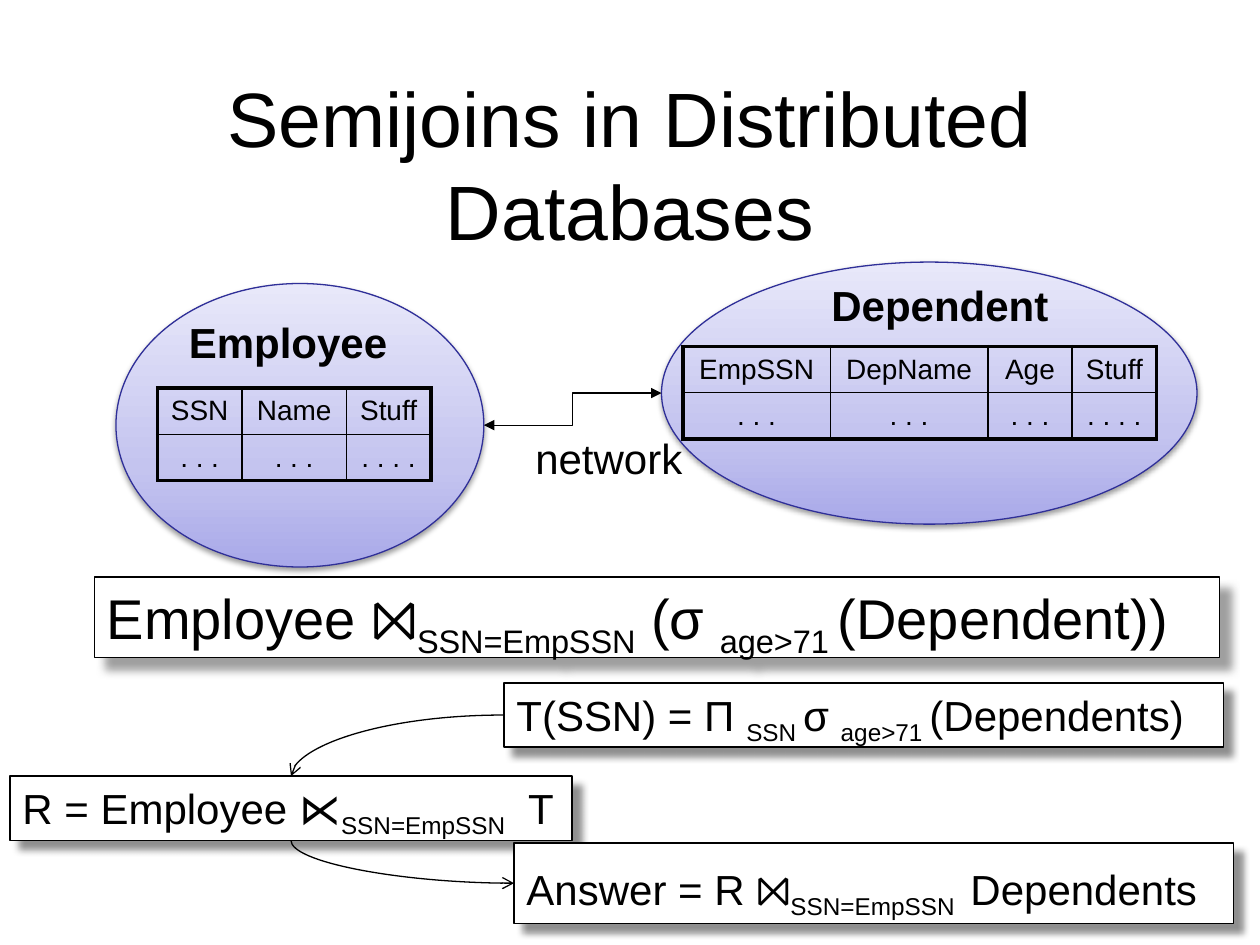
from copy import deepcopy

from lxml.etree import SubElement
from pptx import Presentation
from pptx.dml.color import RGBColor
from pptx.enum.shapes import MSO_CONNECTOR as LINK, MSO_SHAPE as SHAPE
from pptx.enum.text import MSO_ANCHOR as ANCHOR, MSO_AUTO_SIZE as FIT, PP_ALIGN as ALIGN
from pptx.oxml.ns import qn
from pptx.util import Inches, Pt

BLACK, WHITE = "000000", "FFFFFF"
SITE_STOPS = [(0, "A9A9E9"), (0.35, "C4C4EF"), (1, "E8E8FA")]
SITE_SHADOW = dict(alpha=38, blur=3.1, dist=1.6, angle=90)
STEP_SHADOW = dict(alpha=43, blur=4, dist=7, angle=45)
QUERY_SHADOW = dict(alpha=75, blur=5, dist=8.5, angle=45, color="808080")


def rgb(color):
    return RGBColor.from_string(color)


def sub(text):
    return text, {"subscript": True}


def write(frame, *runs, size=24, bold=False, align=ALIGN.LEFT):
    """Fill the first paragraph; a run is a string or (string, its own format)."""
    paragraph = frame.paragraphs[0]
    paragraph.alignment = align
    for item in runs:
        text, own = (item, {}) if isinstance(item, str) else item
        run = paragraph.add_run()
        run.text = text
        font = run.font
        font.name, font.bold = "Arial", bold
        font.size = Pt(own.get("size", size))
        font.color.rgb = rgb(BLACK)
        if own.get("subscript"):
            font._element.set("baseline", "-25000")


def add_shadow(shape, alpha, blur, dist, angle, color=BLACK):
    shape.shadow.inherit = False
    effects = shape._element.spPr.find(qn("a:effectLst"))
    outer = SubElement(effects, qn("a:outerShdw"), blurRad=str(Pt(blur)), dist=str(Pt(dist)),
                       dir=str(angle * 60000), algn="ctr", rotWithShape="0")
    tint = SubElement(outer, qn("a:srgbClr"), val=color)
    SubElement(tint, qn("a:alpha"), val=str(alpha * 1000))


def add_shape(slide, kind, box, line, shadow):
    shape = slide.shapes.add_shape(kind, *map(Inches, box))
    shape.line.color.rgb = rgb(line)
    shape.line.width = Pt(0.75)
    add_shadow(shape, **shadow)
    return shape


def add_label(slide, box, text, **style):
    frame = slide.shapes.add_textbox(*map(Inches, box)).text_frame
    frame.word_wrap = False
    frame.auto_size = FIT.SHAPE_TO_FIT_TEXT
    write(frame, text, **style)


def add_title(slide, box, text):
    frame = slide.shapes.add_textbox(*map(Inches, box)).text_frame
    frame.word_wrap = True
    frame.vertical_anchor = ANCHOR.MIDDLE
    write(frame, text, size=44, align=ALIGN.CENTER)


def set_borders(cell, widths):
    """Draw the cell's edges; widths are left, right, top, bottom in points."""
    props = cell._tc.get_or_add_tcPr()
    for place, (side, width) in enumerate(zip("LRTB", widths)):
        edge = SubElement(props, qn(f"a:ln{side}"), w=str(Pt(width)))
        SubElement(SubElement(edge, qn("a:solidFill")), qn("a:srgbClr"), val=BLACK)
        props.insert(place, edge)


def add_relation(slide, left, top, rows, col_widths, row_height=0.35):
    last_row, last_col = len(rows) - 1, len(col_widths) - 1
    table = slide.shapes.add_table(
        len(rows), len(col_widths), Inches(left), Inches(top),
        Inches(sum(col_widths)), Inches(row_height * len(rows))).table
    table.first_row = table.horz_banding = False
    for column, width in zip(table.columns, col_widths):
        column.width = Inches(width)
    for r, values in enumerate(rows):
        table.rows[r].height = Inches(row_height)
        for c, value in enumerate(values):
            cell = table.cell(r, c)
            cell.fill.background()
            cell.vertical_anchor = ANCHOR.MIDDLE
            cell.margin_left = cell.margin_right = Inches(0.05)
            write(cell.text_frame, value, size=16, align=ALIGN.CENTER)
            outer = (c == 0, c == last_col, r == 0, r == last_row)
            set_borders(cell, [2.25 if edge else 1 for edge in outer])


def add_site(slide, box, name, name_box, relation_at, rows, col_widths):
    """Draw one database site; name_box and relation_at are offsets in its box."""
    left, top = box[:2]
    site = add_shape(slide, SHAPE.OVAL, box, "2F2F98", SITE_SHADOW)
    site.fill.gradient()
    site.fill.gradient_angle = 90
    stops = site._element.spPr.find(qn("a:gradFill")).find(qn("a:gsLst"))
    stops.append(deepcopy(stops[0]))
    for stop, (position, color) in zip(site.fill.gradient_stops, SITE_STOPS):
        stop.position = position
        stop.color.rgb = rgb(color)
    dx, dy, width, height = name_box
    add_label(slide, (left + dx, top + dy, width, height), name, bold=True)
    add_relation(slide, left + relation_at[0], top + relation_at[1], rows, col_widths)
    return site


def add_expression(slide, box, *runs, size=24, shadow=STEP_SHADOW):
    panel = add_shape(slide, SHAPE.RECTANGLE, box, BLACK, shadow)
    panel.fill.solid()
    panel.fill.fore_color.rgb = rgb(WHITE)
    frame = panel.text_frame
    frame.word_wrap = False
    frame.auto_size = FIT.SHAPE_TO_FIT_TEXT
    frame.vertical_anchor = ANCHOR.TOP
    write(frame, *runs, size=size)
    return panel


def add_link(slide, kind, start=(0, 0), end=(0, 0), head=None, tail=None):
    link = slide.shapes.add_connector(kind, *start, *end)
    link.line.color.rgb = rgb(BLACK)
    link.line.width = Pt(0.75)
    props = link._element.spPr
    for tag, arrow in (("a:headEnd", head), ("a:tailEnd", tail)):
        if arrow:
            SubElement(props.find(qn("a:ln")), qn(tag), type=arrow)
    SubElement(props, qn("a:effectLst"))
    return link


def add_step_arrow(slide, beside, above_or_below, side, edge, **arrows):
    """Curve from the side of one panel to the top or bottom edge of another."""
    arrow = add_link(slide, LINK.CURVE, **arrows)
    arrow._element.spPr.find(qn("a:prstGeom")).set("prst", "curvedConnector2")
    arrow.begin_connect(beside, side)
    arrow.end_connect(above_or_below, edge)


def add_network(slide, employee, dependent):
    add_link(slide, LINK.ELBOW,
             (employee.left + employee.width, employee.top + employee.height // 2),
             (dependent.left, dependent.top + dependent.height // 2),
             head="triangle", tail="triangle")
    add_label(slide, (4.15, 3.38, 1.37, 0.5), "network")


def add_plan(slide):
    projection = add_expression(
        slide, (4, 5.42, 5.71, 0.51), "T(SSN) = Π ", sub("SSN "), "σ ",
        sub("age>71 "), "(Dependents)")
    reduction = add_expression(
        slide, (0.08, 6.16, 4.46, 0.51), "R = Employee ⋉", sub("SSN=EmpSSN"), "  T")
    answer = add_expression(
        slide, (4.08, 6.69, 5.71, 0.64), "Answer = R ⨝", sub("SSN=EmpSSN"),
        (" ", {"size": 32}), "Dependents")
    add_step_arrow(slide, projection, reduction, side=1, edge=0, tail="arrow")
    add_step_arrow(slide, answer, reduction, side=1, edge=2, head="arrow")


def main():
    deck = Presentation()
    deck.slide_width, deck.slide_height = Inches(10), Inches(7.5)
    slide = deck.slides.add_slide(deck.slide_layouts[6])
    add_title(slide, (0.75, 0.67, 8.5, 1.25), "Semijoins in Distributed Databases")
    employee = add_site(
        slide, (0.92, 2.25, 2.92, 2.25), "Employee", (0.48, 0.21, 1.78, 0.5), (0.33, 0.83),
        [("SSN", "Name", "Stuff"), (". . .", ". . .", ". . . .")], (0.67, 0.83, 0.67))
    dependent = add_site(
        slide, (5.25, 2.08, 4.25, 2.08), "Dependent", (1.25, 0.09, 1.92, 0.5), (0.17, 0.67),
        [("EmpSSN", "DepName", "Age", "Stuff"), (". . .", ". . .", ". . .", ". . . .")],
        (1.17, 1.25, 0.67, 0.67))
    add_network(slide, employee, dependent)
    add_plan(slide)
    add_expression(
        slide, (0.75, 4.58, 8.93, 0.64), "Employee ⨝", sub("SSN=EmpSSN"), " (σ ",
        sub("age>71 "), "(Dependent))", size=32, shadow=QUERY_SHADOW)
    deck.save("out.pptx")


if __name__ == "__main__":
    main()
